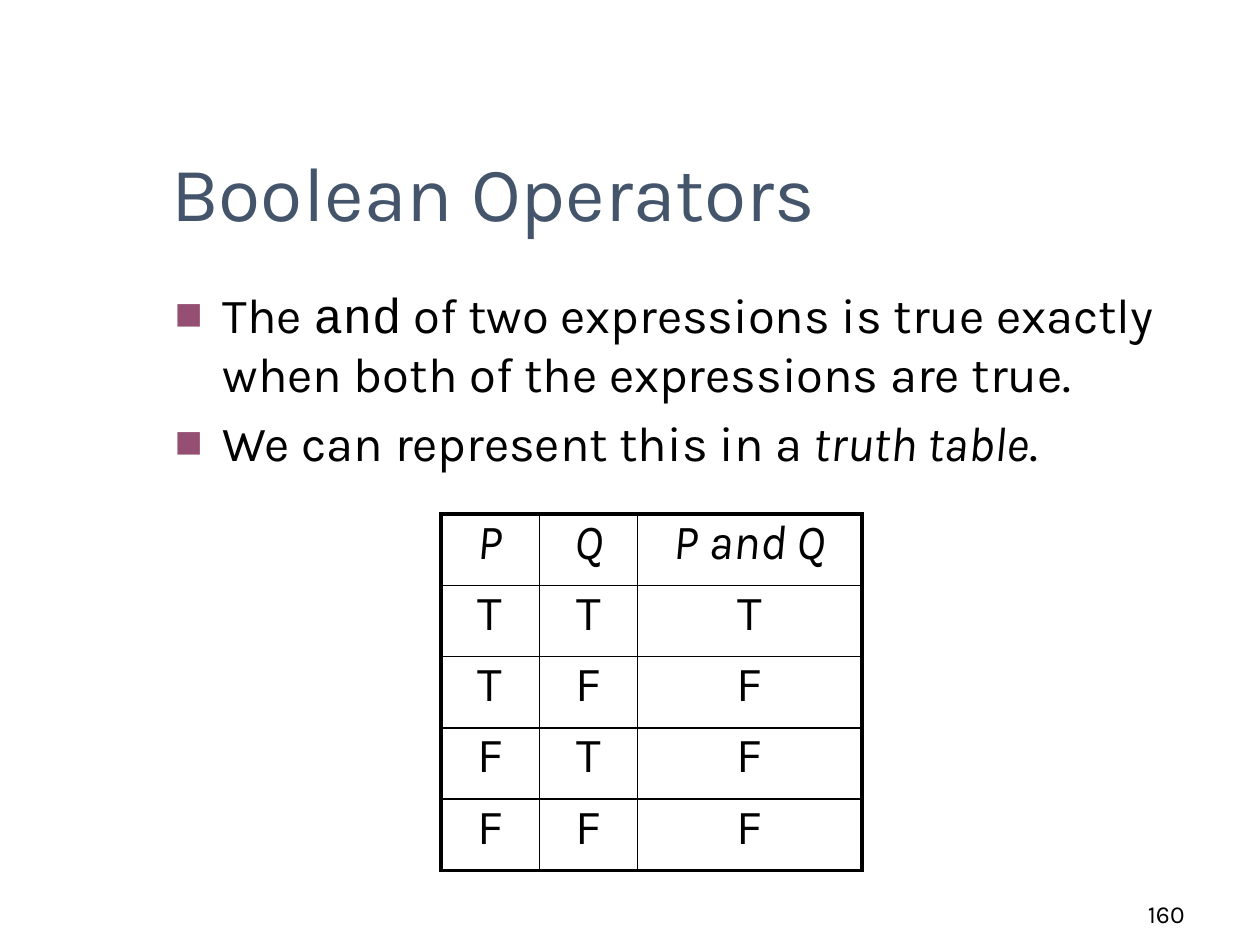
from dataclasses import dataclass

from lxml.etree import SubElement
from pptx import Presentation
from pptx.dml.color import RGBColor
from pptx.enum.text import MSO_ANCHOR, PP_ALIGN
from pptx.oxml.ns import qn
from pptx.util import Inches, Pt

COLORS = {"text": "000000", "title": "44546A", "bullet": "954F72"}
FONT = "Karla"
CODE_FONT = "Courier New"


@dataclass
class Run:
    text: str
    font: str = FONT
    italic: bool = False


@dataclass
class Box:
    left: float
    top: float
    width: float
    height: float


def write(paragraph, text, *, size=28, color="text", font=FONT, italic=False, align=None):
    """Add one formatted run to a paragraph."""
    run = paragraph.add_run()
    run.text = text
    run.font.size = Pt(size)
    run.font.name = font
    run.font.italic = italic
    run.font.color.rgb = RGBColor.from_string(COLORS[color])
    if align is not None:
        paragraph.alignment = align


def add_text_frame(slide, box: Box, anchor=MSO_ANCHOR.TOP):
    shape = slide.shapes.add_textbox(
        Inches(box.left), Inches(box.top), Inches(box.width), Inches(box.height))
    frame = shape.text_frame
    frame.word_wrap = True
    frame.vertical_anchor = anchor
    return frame


def set_bullet(paragraph) -> None:
    properties = paragraph._p.get_or_add_pPr()
    properties.set("marL", str(Inches(0.38)))
    properties.set("indent", str(-Inches(0.38)))
    color = SubElement(properties, qn("a:buClr"))
    SubElement(color, qn("a:srgbClr"), val=COLORS["bullet"])
    SubElement(properties, qn("a:buSzPct"), val="60000")
    SubElement(properties, qn("a:buFont"), typeface=FONT)
    SubElement(properties, qn("a:buChar"), char="■")


def set_border(cell, side: str, width: float) -> None:
    line = SubElement(cell._tc.get_or_add_tcPr(), qn(f"a:ln{side}"), w=str(Pt(width)))
    fill = SubElement(line, qn("a:solidFill"))
    SubElement(fill, qn("a:srgbClr"), val=COLORS["text"])


def add_truth_table(slide, box: Box, widths: list[float], rows: list[list[str]]) -> None:
    frame = slide.shapes.add_table(
        len(rows), len(widths),
        Inches(box.left), Inches(box.top), Inches(box.width), Inches(box.height))
    table = frame.table
    table.first_row = table.horz_banding = False
    for column, width in zip(table.columns, widths):
        column.width = Inches(width)
    last_row, last_column = len(rows) - 1, len(widths) - 1
    for i, values in enumerate(rows):
        table.rows[i].height = Inches(box.height / len(rows))
        for j, value in enumerate(values):
            cell = table.cell(i, j)
            cell.margin_left = cell.margin_right = 0
            cell.margin_top = cell.margin_bottom = 0
            write(cell.text_frame.paragraphs[0], value, italic=i == 0, align=PP_ALIGN.CENTER)
            # Heavy outer frame, thin inner grid
            outer = {"L": j == 0, "R": j == last_column, "T": i == 0, "B": i == last_row}
            for side, is_outer in outer.items():
                set_border(cell, side, 2.25 if is_outer else 1)
            cell.fill.background()


presentation = Presentation()
presentation.slide_width = Inches(10)
presentation.slide_height = Inches(7.5)
slide = presentation.slides.add_slide(presentation.slide_layouts[6])

# Slide number
number = add_text_frame(slide, Box(7.42, 6.92, 2.08, 0.5), MSO_ANCHOR.BOTTOM)
write(number.paragraphs[0], "160", size=14, align=PP_ALIGN.RIGHT)

# Title
title = add_text_frame(slide, Box(1.26, 0.68, 8.52, 1.25), MSO_ANCHOR.BOTTOM)
write(title.paragraphs[0], "Boolean Operators", size=44, color="title")

# Bulleted text
BULLETS = [
    [Run("The "), Run("and", font=CODE_FONT),
     Run(" of two expressions is true exactly when both of the expressions are true.")],
    [Run("We can represent this in a "), Run("truth table", italic=True), Run(".")],
]
body = add_text_frame(slide, Box(1.29, 2.21, 8.5, 4.5))
for index, runs in enumerate(BULLETS):
    paragraph = body.add_paragraph() if index else body.paragraphs[0]
    if index:
        paragraph.space_before = Pt(5.6)
    set_bullet(paragraph)
    for run in runs:
        write(paragraph, run.text, font=run.font, italic=run.italic)

# Truth table
truth_rows = [["P", "Q", "P and Q"]] + [
    [p, q, "T" if p == q == "T" else "F"] for p in "TF" for q in "TF"]
add_truth_table(slide, Box(3.5, 4.08, 3.34, 2.83), [0.78, 0.78, 1.78], truth_rows)

presentation.save("out.pptx")
